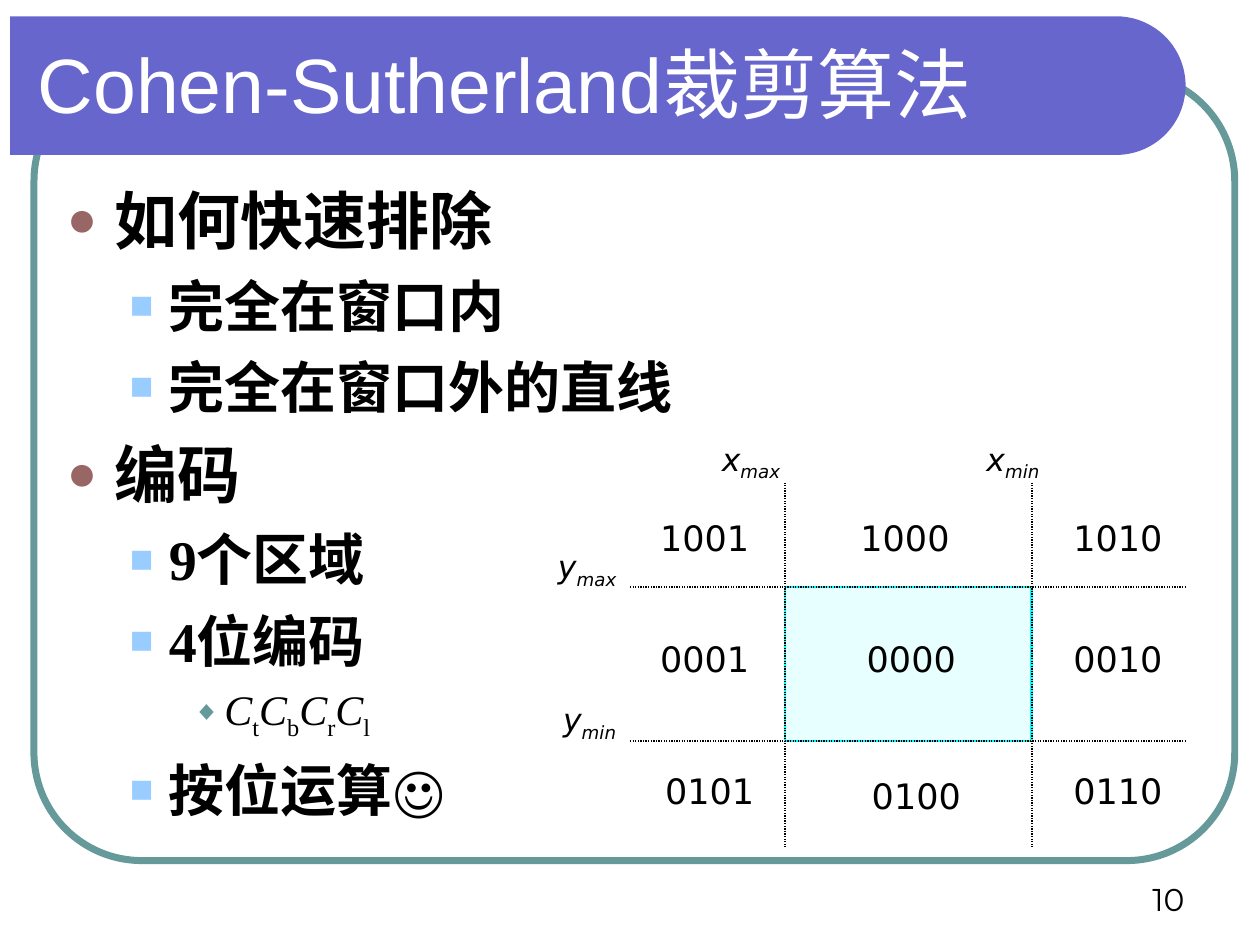
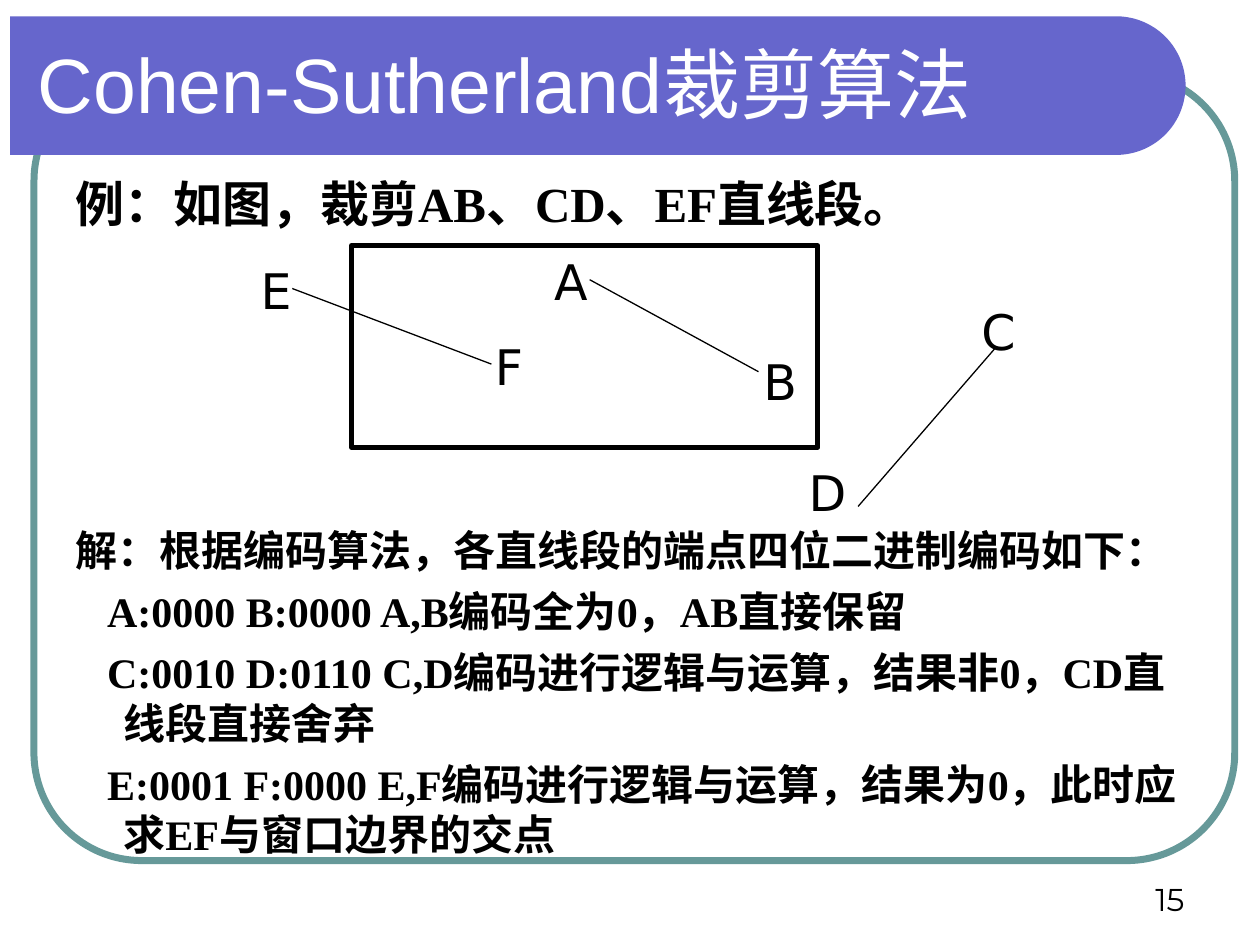
import math

from lxml import etree
from pptx import Presentation
from pptx import util as u
from pptx.dml.color import RGBColor
from pptx.enum import dml, shapes, text
from pptx.oxml.ns import qn

PX = 9144  # EMU per px, 100 px to the inch

BLACK = RGBColor(0x00, 0x00, 0x00)
WHITE = RGBColor(0xFF, 0xFF, 0xFF)
TEAL = RGBColor(0x66, 0x99, 0x99)
VIOLET = RGBColor(0x66, 0x66, 0xCC)
PALE_CYAN = RGBColor(0xCC, 0xFF, 0xFF)
CYAN = RGBColor(0x00, 0xFF, 0xFF)
MAROON = RGBColor(0x99, 0x66, 0x66)
SKY = RGBColor(0x99, 0xCC, 0xFF)

HEADING_FACE = "Arial"
BODY_FACE = "Times New Roman"
DIAGRAM_FACE = "DejaVu Sans"
NUMBER_FACE = "Montserrat"


def add_runs(paragraph, pieces, size, face, color=BLACK, bold=False, italics=(False, False)):
    """Add one run per piece; every second piece is a subscript."""
    for i, piece in enumerate(pieces):
        run = paragraph.add_run()
        run.text = piece
        run.font.size = u.Pt(size)
        run.font.name = face
        run.font.color.rgb = color
        run.font.bold = bold
        run.font.italic = italics[i % 2]
        if i % 2:
            run._r.get_or_add_rPr().set("baseline", "-25000")


def add_label(parent, box, pieces, size, face, wrap=True, italics=(False, False)):
    label = parent.add_textbox(*(v * PX for v in box)).text_frame
    label.word_wrap = wrap
    label.auto_size = text.MSO_AUTO_SIZE.SHAPE_TO_FIT_TEXT
    add_runs(label.paragraphs[0], pieces, size, face, italics=italics)
    return label


prs = Presentation()
prs.slide_width, prs.slide_height = 1000 * PX, 750 * PX
layout = prs.slide_layouts[1]
for spare in list(layout.placeholders)[2:]:
    spare.element.getparent().remove(spare.element)

# Titles, body boxes and page numbers
pages = [("10", (43, 139, 921, 536)), ("15", (50, 133, 900, 589))]
slides = []
for number, body_box in pages:
    slide = prs.slides.add_slide(layout)
    slides.append(slide)
    heading, body = slide.placeholders
    for holder, box in ((heading, (20, 13, 918, 105)), (body, body_box)):
        holder.left, holder.top, holder.width, holder.height = (v * PX for v in box)
        holder.text_frame.auto_size = text.MSO_AUTO_SIZE.NONE
    heading.text_frame.vertical_anchor = text.MSO_ANCHOR.MIDDLE
    heading_line = heading.text_frame.paragraphs[0]
    heading_line.alignment = text.PP_ALIGN.LEFT
    add_runs(heading_line, ["Cohen-Sutherland裁剪算法"], 44, HEADING_FACE, WHITE)

    page_number = add_label(slide.shapes, (717, 683, 233, 50), [number], 18, NUMBER_FACE)
    page_number.auto_size = text.MSO_AUTO_SIZE.NONE
    page_number.vertical_anchor = text.MSO_ANCHOR.BOTTOM
    page_number.paragraphs[0].alignment = text.PP_ALIGN.RIGHT

coding, example = slides

# Shared frame, banner and white rule, moved to the layout
frame = coding.shapes.add_shape(
    shapes.MSO_SHAPE.ROUNDED_RECTANGLE, 27 * PX, 58 * PX, 953 * PX, 625 * PX)
frame.adjustments[0] = 0.137
frame.fill.background()
frame.line.color.rgb = TEAL
frame.line.width = u.Pt(4)
frame.shadow.inherit = False

round_end = []
for degrees in range(-90, 91, 3):
    angle = math.radians(degrees)
    round_end.append(((886 + 55 * math.cos(angle)) * PX, (68 + 55 * math.sin(angle)) * PX))
outline = coding.shapes.build_freeform(8 * PX, 13 * PX)
outline.add_line_segments(round_end + [(8 * PX, 123 * PX)], close=True)
banner = outline.convert_to_shape()
banner.fill.solid()
banner.fill.fore_color.rgb = VIOLET
banner.line.fill.background()
banner.shadow.inherit = False

rule = coding.shapes.add_connector(
    shapes.MSO_CONNECTOR.STRAIGHT, 34 * PX, 133 * PX, 917 * PX, 133 * PX)
rule.line.color.rgb = WHITE
rule.line.width = u.Pt(3)
etree.SubElement(rule.element.spPr, qn("a:effectLst"))

for position, part in enumerate((frame, banner, rule), start=2):
    layout.shapes.element.insert(position, part.element)

# Outline of the coding method
# level: size, left margin, hanging indent, space before, bullet, colour, bullet percent
levels = [
    (36, 38, 38, 9, "●", MAROON, 80),
    (32, 81, 31, 8, "■", SKY, 70),
    (24, 125, 25, 6, "◆", TEAL, 65),
]
outline_items = [
    (0, ["如何快速排除"]),
    (1, ["完全在窗口内"]),
    (1, ["完全在窗口外的直线"]),
    (0, ["编码"]),
    (1, ["9个区域"]),
    (1, ["4位编码"]),
    (2, ["C", "t", "C", "b", "C", "r", "C", "l"]),
    (1, ["按位运算"]),
]
outline_text = coding.placeholders[1].text_frame
for i, (level, pieces) in enumerate(outline_items):
    size, margin, hang, before, mark, mark_color, percent = levels[level]
    item = outline_text.add_paragraph() if i else outline_text.paragraphs[0]
    item.level = level
    props = item._p.get_or_add_pPr()
    props.set("marL", str(margin * PX))
    props.set("indent", str(-hang * PX))
    bullet_color = etree.SubElement(props, qn("a:buClr"))
    etree.SubElement(bullet_color, qn("a:srgbClr"), val=str(mark_color))
    etree.SubElement(props, qn("a:buSzPct"), val=str(percent * 1000))
    etree.SubElement(props, qn("a:buChar"), char=mark)
    item.space_before = u.Pt(before if i else 0)
    formula = level == 2
    add_runs(item, pieces, size, BODY_FACE, bold=not formula, italics=(formula, False))
add_runs(item, ["☺"], 32, HEADING_FACE, bold=True)

# Nine-region diagram
regions = coding.shapes.add_group_shape().shapes
x_edges, y_edges = (623, 819), (466, 588)
window = regions.add_shape(
    shapes.MSO_SHAPE.RECTANGLE, x_edges[0] * PX, y_edges[0] * PX,
    (x_edges[1] - x_edges[0]) * PX, (y_edges[1] - y_edges[0]) * PX)
window.fill.solid()
window.fill.fore_color.rgb = PALE_CYAN
tint = window.element.spPr.find(qn("a:solidFill")).find(qn("a:srgbClr"))
etree.SubElement(tint, qn("a:alpha"), val="46000")
window.line.color.rgb = CYAN
window.line.width = u.Pt(1.5)
window.shadow.inherit = False

boundaries = [(500, y, 942, y) for y in y_edges] + [(x, 383, x, 672) for x in x_edges]

region_codes = [
    ("1001", 514, 405), ("1000", 673, 405), ("1010", 842, 405),
    ("0001", 514, 501), ("0000", 678, 501), ("0010", 842, 501),
    ("0101", 518, 606), ("0100", 682, 610), ("0110", 842, 606),
]
for code, x, y in region_codes:
    add_label(regions, (x, y, 91, 44), [code], 20, DIAGRAM_FACE)

edge_names = [
    ("y", "max", 433, 429), ("y", "min", 437, 551),
    ("x", "max", 563, 344), ("x", "min", 773, 344),
]
for axis, limit, x, y in edge_names:
    add_label(coding.shapes, (x, y, 101, 44), [axis, limit], 18, DIAGRAM_FACE,
              italics=(True, True))

# Worked example: first-line offset, space before, wording (en spaces part the codes)
example_lines = [
    (-38, 0, 28, "例：如图，裁剪AB、CD、EF直线段。"),
    (-38, 167, 24, "解：根据编码算法，各直线段的端点四位二进制编码如下："),
    (-13, 6, 24, "A:0000 B:0000 A,B编码全为0，AB直接保留"),
    (-13, 6, 24, "C:0010 D:0110 C,D编码进行逻辑与运算，结果非0，CD直线段直接舍弃"),
    (-13, 6, 24, "E:0001 F:0000 E,F编码进行逻辑与运算，结果为0，此时应求EF与窗口边界的交点"),
]
example_text = example.placeholders[1].text_frame
for i, (offset, before, size, wording) in enumerate(example_lines):
    line = example_text.add_paragraph() if i else example_text.paragraphs[0]
    props = line._p.get_or_add_pPr()
    props.set("marL", str(38 * PX))
    props.set("indent", str(offset * PX))
    etree.SubElement(props, qn("a:buNone"))
    line.space_before = u.Pt(before)
    add_runs(line, [wording], size, BODY_FACE, bold=True)

# Clipping window with its three segments
clipping = example.shapes.add_group_shape().shapes
clip_window = clipping.add_shape(
    shapes.MSO_SHAPE.RECTANGLE, 279 * PX, 195 * PX, 370 * PX, 160 * PX)
clip_window.fill.background()
clip_window.line.color.rgb = BLACK
clip_window.line.width = u.Pt(3)
clip_window.shadow.inherit = False

segments = [(232, 229, 390, 289), (468, 222, 602, 295), (791, 275, 681, 402)]

end_points = [
    ("A", 430, 195, 45), ("B", 596, 274, 45), ("C", 769, 234, 44),
    ("D", 632, 362, 48), ("E", 197, 202, 41), ("F", 383, 262, 40),
]
for letter, x, y, width in end_points:
    add_label(clipping, (x, y, width, 57), [letter], 28, DIAGRAM_FACE, wrap=False)

# Thin lines of both diagrams
for diagram, ends, dotted in ((regions, boundaries, True), (clipping, segments, False)):
    for end in ends:
        stroke = diagram.add_connector(
            shapes.MSO_CONNECTOR.STRAIGHT, *(v * PX for v in end))
        stroke.line.color.rgb = BLACK
        stroke.line.width = u.Pt(0.75)
        if dotted:
            stroke.line.dash_style = dml.MSO_LINE.ROUND_DOT
        etree.SubElement(stroke.element.spPr, qn("a:effectLst"))

prs.save("out.pptx")
